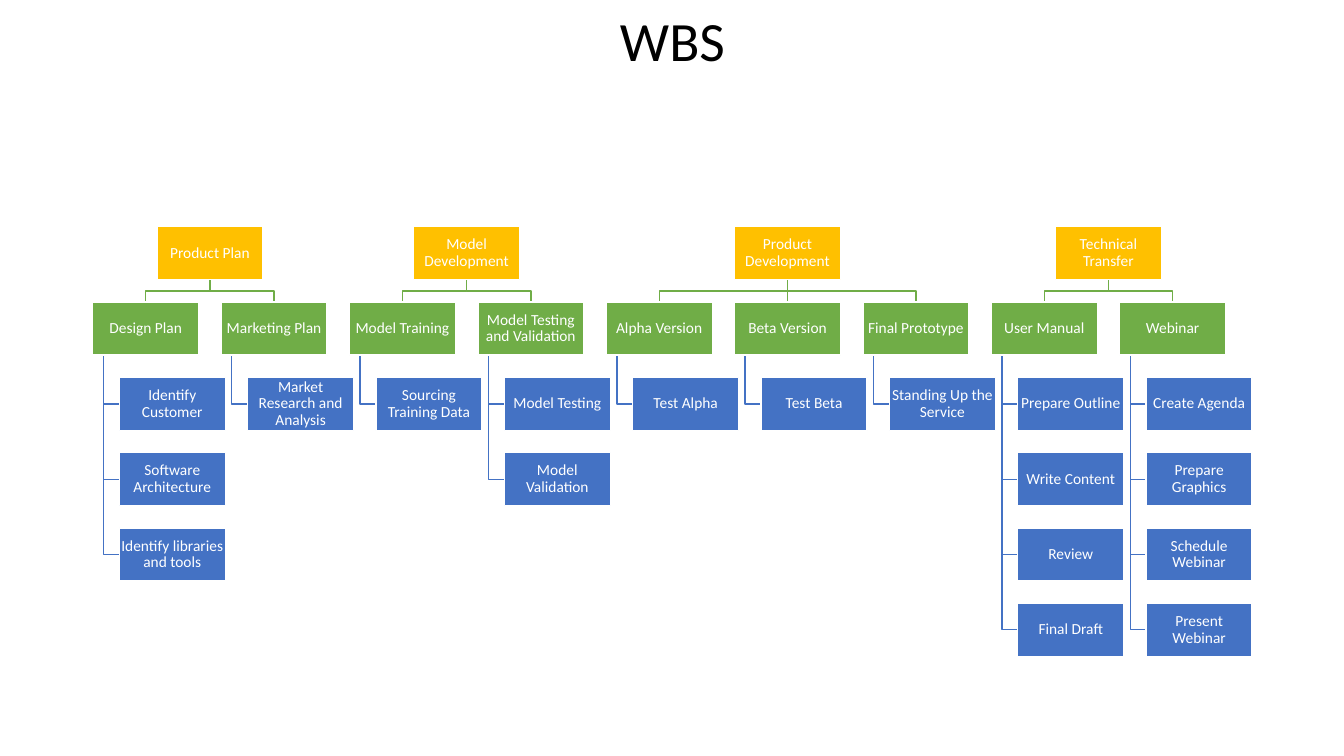
from dataclasses import dataclass
from pptx import Presentation
from pptx.dml.color import RGBColor
from pptx.enum.shapes import MSO_CONNECTOR, MSO_SHAPE
from pptx.enum.text import MSO_ANCHOR, MSO_AUTO_SIZE, PP_ALIGN
from pptx.oxml.ns import qn
from pptx.util import Inches, Pt
from lxml.etree import SubElement


@dataclass(frozen=True)
class Theme:
    font: str = "Calibri"
    title_size: float = 39.6
    box_size: float = 11
    line_width: float = 1
    black: RGBColor = RGBColor(0x00, 0x00, 0x00)
    white: RGBColor = RGBColor(0xFF, 0xFF, 0xFF)
    phase: RGBColor = RGBColor(0xFF, 0xC0, 0x00)
    package_fill: RGBColor = RGBColor(0x70, 0xAD, 0x47)
    task: RGBColor = RGBColor(0x44, 0x72, 0xC4)


theme = Theme()

phases = [
    ("Product Plan", [
        ("Design Plan", ["Identify Customer", "Software Architecture", "Identify libraries and tools"]),
        ("Marketing Plan", ["Market Research and Analysis"]),
    ]),
    ("Model Development", [
        ("Model Training", ["Sourcing Training Data"]),
        ("Model Testing and Validation", ["Model Testing", "Model Validation"]),
    ]),
    ("Product Development", [
        ("Alpha Version", ["Test Alpha"]),
        ("Beta Version", ["Test Beta"]),
        ("Final Prototype", ["Standing Up the Service"]),
    ]),
    ("Technical Transfer", [
        ("User Manual", ["Prepare Outline", "Write Content", "Review", "Final Draft"]),
        ("Webinar", ["Create Agenda", "Prepare Graphics", "Schedule Webinar", "Present Webinar"]),
    ]),
]

deck = Presentation()
deck.slide_width = Inches(13.33)
deck.slide_height = Inches(7.5)
page = deck.slides.add_slide(deck.slide_layouts[5])

left, top, chart_width = 0.92, 2.25, 11.5
column_count = sum(len(packages) for name, packages in phases)
column_ratio, row_ratio, task_indent, rail_indent = 1.21, 1.42, 0.25, 0.1
box_width = chart_width / ((column_count - 1) * column_ratio + 1 + task_indent)
box_height = box_width / 2
column_step = box_width * column_ratio
row_step = box_height * row_ratio


def write(frame, text, size, color):
    frame.word_wrap = True
    frame.auto_size = MSO_AUTO_SIZE.NONE
    frame.vertical_anchor = MSO_ANCHOR.MIDDLE
    para = frame.paragraphs[0]
    para.alignment = PP_ALIGN.CENTER
    para.line_spacing = 0.9
    span = para.add_run()
    span.text = text
    span.font.name = theme.font
    span.font.size = Pt(size)
    span.font.color.rgb = color


def link(points, color):
    corners = [(Inches(x), Inches(y)) for x, y in points]
    if len({x for x, y in corners}) == 1:
        line = page.shapes.add_connector(MSO_CONNECTOR.STRAIGHT, *corners[0], *corners[-1])
        SubElement(line._element.spPr, qn("a:effectLst"))
    else:
        builder = page.shapes.build_freeform(*corners[0], scale=1.0)
        builder.add_line_segments(corners[1:], close=False)
        line = builder.convert_to_shape()
        line.fill.background()
        line.shadow.inherit = False
    line.line.color.rgb = color
    line.line.width = Pt(theme.line_width)


title = page.shapes.title
title.left, title.top, title.width, title.height = map(Inches, (left, 0.13, chart_width, 0.61))
write(title.text_frame, "WBS", theme.title_size, theme.black)

boxes = []
column = 0
package_top = top + row_step
package_bottom = package_top + box_height
phase_bottom = top + box_height
bus = (phase_bottom + package_top) / 2

for phase_name, packages in phases:
    phase_left = left + (column + (len(packages) - 1) / 2) * column_step
    phase_center = phase_left + box_width / 2
    boxes.append((phase_name, phase_left, top, theme.phase))
    for package_name, tasks in packages:
        package_left = left + column * column_step
        package_center = package_left + box_width / 2
        rail = package_left + box_width * rail_indent
        task_left = package_left + box_width * task_indent
        boxes.append((package_name, package_left, package_top, theme.package_fill))
        link([(phase_center, phase_bottom), (phase_center, bus),
              (package_center, bus), (package_center, package_top)], theme.package_fill)
        for row, task_name in enumerate(tasks, start=2):
            task_top = top + row * row_step
            task_middle = task_top + box_height / 2
            boxes.append((task_name, task_left, task_top, theme.task))
            link([(rail, package_bottom), (rail, task_middle), (task_left, task_middle)], theme.task)
        column += 1

for name, box_left, box_top, fill in boxes:
    box = page.shapes.add_shape(
        MSO_SHAPE.RECTANGLE, *map(Inches, (box_left, box_top, box_width, box_height)))
    box.shadow.inherit = False
    box.fill.solid()
    box.fill.fore_color.rgb = fill
    box.line.color.rgb = theme.white
    box.line.width = Pt(theme.line_width)
    frame = box.text_frame
    frame.margin_left = frame.margin_right = frame.margin_top = frame.margin_bottom = Inches(0.01)
    write(frame, name, theme.box_size, theme.white)

deck.save("out.pptx")
